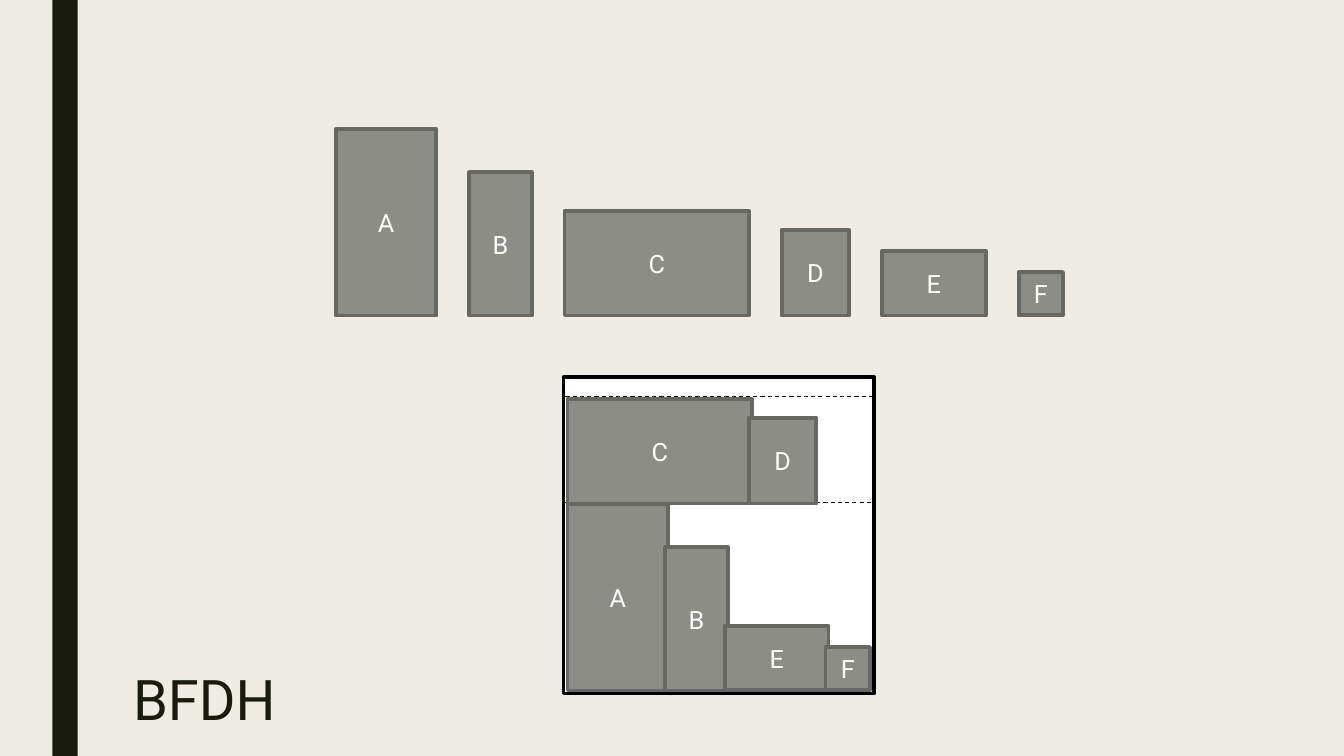
from dataclasses import dataclass

from lxml import etree
from pptx import Presentation
from pptx import util as u
from pptx.dml.color import RGBColor
from pptx.enum import dml, shapes, text
from pptx.oxml.ns import qn

CELL = 0.1  # side of a square grid cell, in inches
COLUMNS, ROWS = 133.33, 75
FONT = "Roboto"
INK, PAPER, WHITE, BLACK = "191B0E", "EFEDE3", "FFFFFF", "000000"
BLOCK_FILL, BLOCK_EDGE = "8C8D86", "686863"
EDGE_WIDTH = 2.75


@dataclass(frozen=True)
class Area:
    column: float
    row: float
    columns: float
    rows: float


@dataclass(frozen=True)
class Shelf:
    """Blocks standing side by side on one floor row."""
    names: str
    column: float
    floor: float
    gap: float


# Width and height of each block, in grid cells
BLOCKS: dict[str, tuple[float, float]] = {
    "A": (10, 18.5),
    "B": (6.2, 14.2),
    "C": (18.3, 10.4),
    "D": (6.7, 8.5),
    "E": (10.3, 6.4),
    "F": (4.4, 4.3),
}
BIN = Area(55.9, 37.4, 30.8, 31.4)
QUEUE = Shelf("ABCDEF", 33.3, 31.3, 3.25)
LOWER_SHELF = Shelf("ABEF", 56.3, 68.5, -0.3)
UPPER_SHELF = Shelf("CD", 56.3, 49.95, -0.3)


def cells(count: float) -> u.Emu:
    return u.Inches(count * CELL)


def colour(code: str) -> RGBColor:
    return RGBColor.from_string(code)


def paint(fill, code: str) -> None:
    fill.solid()
    fill.fore_color.rgb = colour(code)


def add_run(para, words: str, size: float, code: str) -> None:
    span = para.add_run()
    span.text = words
    span.font.name = FONT
    span.font.size = u.Pt(size)
    span.font.color.rgb = colour(code)


def add_box(page, area: Area, fill: str, edge: str | None = None):
    box = page.shapes.add_shape(
        shapes.MSO_SHAPE.RECTANGLE, cells(area.column), cells(area.row),
        cells(area.columns), cells(area.rows))
    box.shadow.inherit = False
    paint(box.fill, fill)
    if edge is None:
        box.line.fill.background()
    else:
        box.line.color.rgb = colour(edge)
        box.line.width = u.Pt(EDGE_WIDTH)
    return box


def add_shelf(page, shelf: Shelf) -> None:
    column = shelf.column
    for name in shelf.names:
        width, height = BLOCKS[name]
        area = Area(column, shelf.floor - height, width, height)
        box = add_box(page, area, BLOCK_FILL, BLOCK_EDGE)
        box.text_frame.vertical_anchor = text.MSO_ANCHOR.MIDDLE
        para = box.text_frame.paragraphs[0]
        para.alignment = text.PP_ALIGN.CENTER
        add_run(para, name, 18, WHITE)
        column += width + shelf.gap


def add_level(page, column: float, row: float) -> None:
    """Dashed line across the bin."""
    level = page.shapes.add_connector(
        shapes.MSO_CONNECTOR.STRAIGHT, cells(column), cells(row),
        cells(column + BIN.columns), cells(row))
    level.line.color.rgb = colour(BLACK)
    level.line.width = u.Pt(0.75)
    level.line.dash_style = dml.MSO_LINE.DASH
    etree.SubElement(level._element.spPr, qn("a:effectLst"))


def set_title(page, words: str, area: Area) -> None:
    title = page.shapes.title
    title.left, title.top = cells(area.column), cells(area.row)
    title.width, title.height = cells(area.columns), cells(area.rows)
    frame = title.text_frame
    frame.auto_size = text.MSO_AUTO_SIZE.NONE
    frame.vertical_anchor = text.MSO_ANCHOR.TOP
    para = frame.paragraphs[0]
    para.alignment = text.PP_ALIGN.LEFT
    para.line_spacing = 0.89
    add_run(para, words, 40, INK)


def main() -> None:
    deck = Presentation()
    deck.slide_width, deck.slide_height = cells(COLUMNS), cells(ROWS)
    page = deck.slides.add_slide(deck.slide_layouts.get_by_name("Title Only"))
    paint(page.background.fill, PAPER)
    add_box(page, Area(5.2, 0, 2.5, ROWS), INK)
    set_title(page, "BFDH", Area(12.2, 66.2, 98.2, 8))

    add_shelf(page, QUEUE)
    add_box(page, BIN, WHITE, BLACK)
    add_level(page, BIN.column, 49.9)
    add_shelf(page, LOWER_SHELF)
    add_shelf(page, UPPER_SHELF)
    add_level(page, BIN.column + 0.2, 39.3)
    deck.save("out.pptx")


if __name__ == "__main__":
    main()
